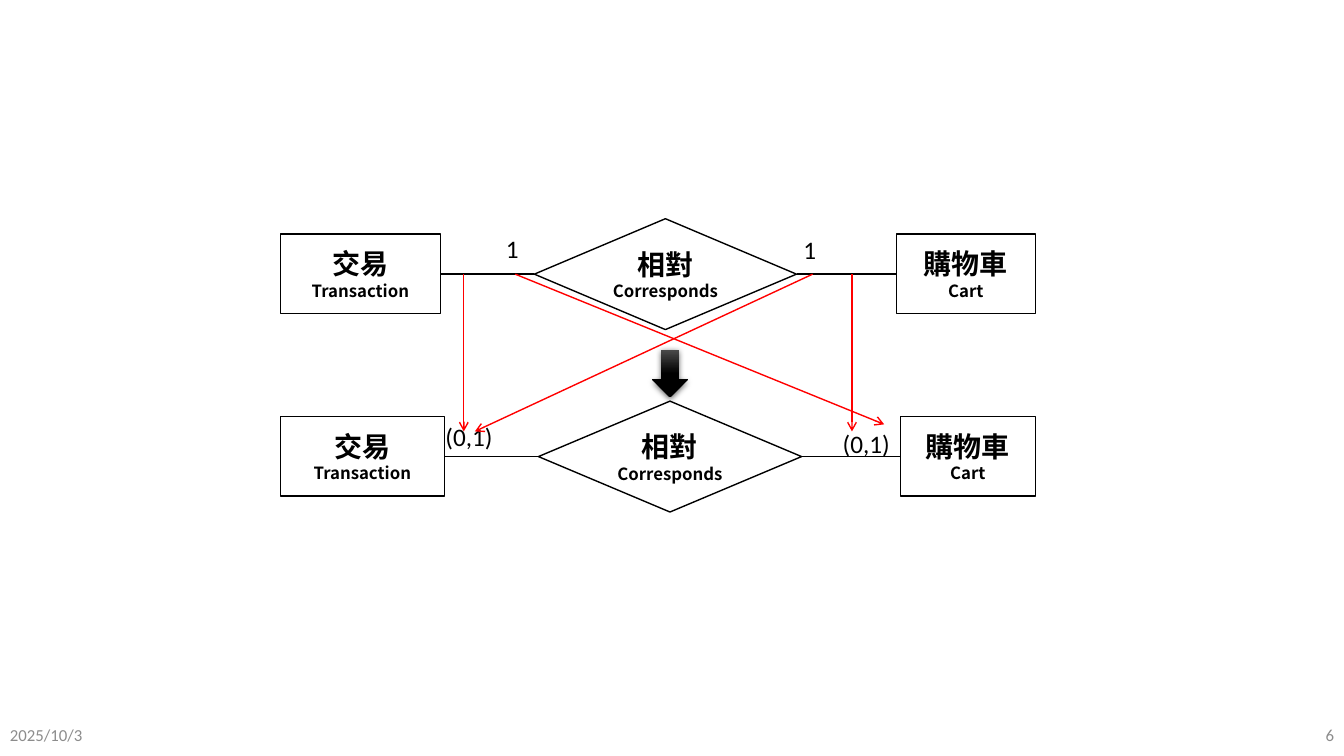
import dataclasses

import lxml.etree
import pptx
import pptx.dml.color
import pptx.enum.shapes
import pptx.enum.text
import pptx.oxml.ns
import pptx.util

PX = 9144
SHAPE = pptx.enum.shapes.MSO_SHAPE
ALIGN = pptx.enum.text.PP_ALIGN
ANCHOR = pptx.enum.text.MSO_ANCHOR
qn = pptx.oxml.ns.qn


@dataclasses.dataclass(frozen=True)
class Theme:
    ink: str = "000000"
    paper: str = "FFFFFF"
    accent: str = "FF0000"
    muted: str = "8C8C8C"
    sheen: str = "4B4B4B"
    plain_font: str = "Calibri"
    name_font: str = "Noto Sans CJK SC"
    name_size: int = 20
    label_size: int = 18
    small_size: int = 12
    line_width: int = 1


THEME = Theme()


def rgb(value):
    return pptx.dml.color.RGBColor.from_string(value)


def scaled(*lengths):
    return [pptx.util.Emu(length * PX) for length in lengths]


def apply_format(target, values):
    for name, value in values.items():
        setattr(target, name, value)


def write_span(para, text, size, font, color, bold=False):
    span = para.add_run()
    span.text = text
    apply_format(span.font, {"size": pptx.util.Pt(size), "name": font, "bold": bold})
    span.font.color.rgb = rgb(color)
    east_asian = lxml.etree.Element(qn("a:ea"), typeface=font)
    span.font._element.find(qn("a:latin")).addnext(east_asian)


def add_label(page, box, text, size, color, align=ALIGN.LEFT, anchor=ANCHOR.TOP):
    frame = page.shapes.add_textbox(*scaled(*box)).text_frame
    apply_format(frame, {"word_wrap": True, "vertical_anchor": anchor})
    frame.paragraphs[0].alignment = align
    write_span(frame.paragraphs[0], text, size, THEME.plain_font, color)


def add_node(page, kind, box, names):
    node = page.shapes.add_shape(kind, *scaled(*box))
    node.shadow.inherit = False
    node.fill.solid()
    node.fill.fore_color.rgb = rgb(THEME.paper)
    node.line.color.rgb = rgb(THEME.ink)
    node.line.width = pptx.util.Pt(THEME.line_width)
    frame = node.text_frame
    apply_format(frame, {"word_wrap": True, "vertical_anchor": ANCHOR.MIDDLE})
    for index, (text, size) in enumerate(zip(names, (THEME.name_size, THEME.small_size))):
        para = frame.add_paragraph() if index else frame.paragraphs[0]
        para.alignment = ALIGN.CENTER
        write_span(para, text, size, THEME.name_font, THEME.ink, True)


def add_line(page, ends, color, arrow=False):
    line = page.shapes.add_connector(
        pptx.enum.shapes.MSO_CONNECTOR.STRAIGHT, *scaled(*ends))
    line.line.color.rgb = rgb(color)
    line.line.width = pptx.util.Pt(THEME.line_width)
    if arrow:
        lxml.etree.SubElement(line.line._get_or_add_ln(), qn("a:tailEnd"), type="arrow")
    lxml.etree.SubElement(line._element.spPr, qn("a:effectLst"))


def draw_relation(page, box, widths, diamond_left, labels):
    left, top, width, height = box
    transaction, corresponds, cart = widths
    entity_height = 79
    entity_top = top + (height - entity_height) // 2
    middle = top + height // 2
    cart_left = left + width - cart
    diamond = left + diamond_left
    add_node(page, SHAPE.RECTANGLE, (left, entity_top, transaction, entity_height),
             ("交易", "Transaction"))
    add_node(page, SHAPE.RECTANGLE, (cart_left, entity_top, cart, entity_height),
             ("購物車", "Cart"))
    add_node(page, SHAPE.DIAMOND, (diamond, top, corresponds, height),
             ("相對", "Corresponds"))
    for start, end in ((left + transaction, diamond), (diamond + corresponds, cart_left)):
        add_line(page, (start, middle, end, middle), THEME.ink)
    for text, across, down, label_width in labels:
        add_label(page, (left + across, top + down, label_width, 40), text,
                  THEME.label_size, THEME.ink)


def draw_mapping(page, box):
    left, top, width, height = box
    arrows = ((0, 0, height), (385, 385, height), (51, width, height - 7), (346, 11, height))
    for start, end, drop in arrows:
        add_line(page, (left + start, top, left + end, top + drop), THEME.accent, True)


def draw_down_arrow(page, box):
    arrow = page.shapes.add_shape(SHAPE.DOWN_ARROW, *scaled(*box))
    arrow.shadow.inherit = False
    arrow.line.fill.background()
    arrow.fill.gradient()
    arrow.fill.gradient_angle = 270
    stops = ((0, THEME.sheen), (0.5, THEME.ink))
    for stop, (position, color) in zip(arrow.fill.gradient_stops, stops):
        stop.position = position
        stop.color.rgb = rgb(color)
    effects = arrow._element.spPr.find(qn("a:effectLst"))
    shadow = lxml.etree.SubElement(effects, qn("a:outerShdw"), blurRad="57150",
                                   dist="19050", dir="5400000", rotWithShape="0")
    shade = lxml.etree.SubElement(shadow, qn("a:srgbClr"), val=THEME.ink)
    lxml.etree.SubElement(shade, qn("a:alpha"), val="63000")


def draw_footer(page, box):
    left, top, width, height = box
    part = 300
    for text, start, align in (("2025/10/3", left, ALIGN.LEFT),
                               ("6", left + width - part, ALIGN.RIGHT)):
        add_label(page, (start, top, part, height), text, THEME.small_size,
                  THEME.muted, align, ANCHOR.MIDDLE)


def main():
    deck = pptx.Presentation()
    deck.slide_width, deck.slide_height = scaled(1333, 750)
    page = deck.slides.add_slide(deck.slide_layouts[6])
    draw_footer(page, (0, 709, 1333, 40))
    draw_relation(page, (278, 217, 749, 110), (159, 260, 138), 252,
                  (("1", 214, 10, 38), ("1", 509, 11, 38)))
    draw_relation(page, (278, 398, 749, 110), (163, 261, 134), 256,
                  (("(0,1)", 154, 15, 75), ("(0,1)", 548, 22, 75)))
    draw_mapping(page, (460, 272, 417, 156))
    draw_down_arrow(page, (647, 347, 35, 47))
    deck.save("out.pptx")


if __name__ == "__main__":
    main()
